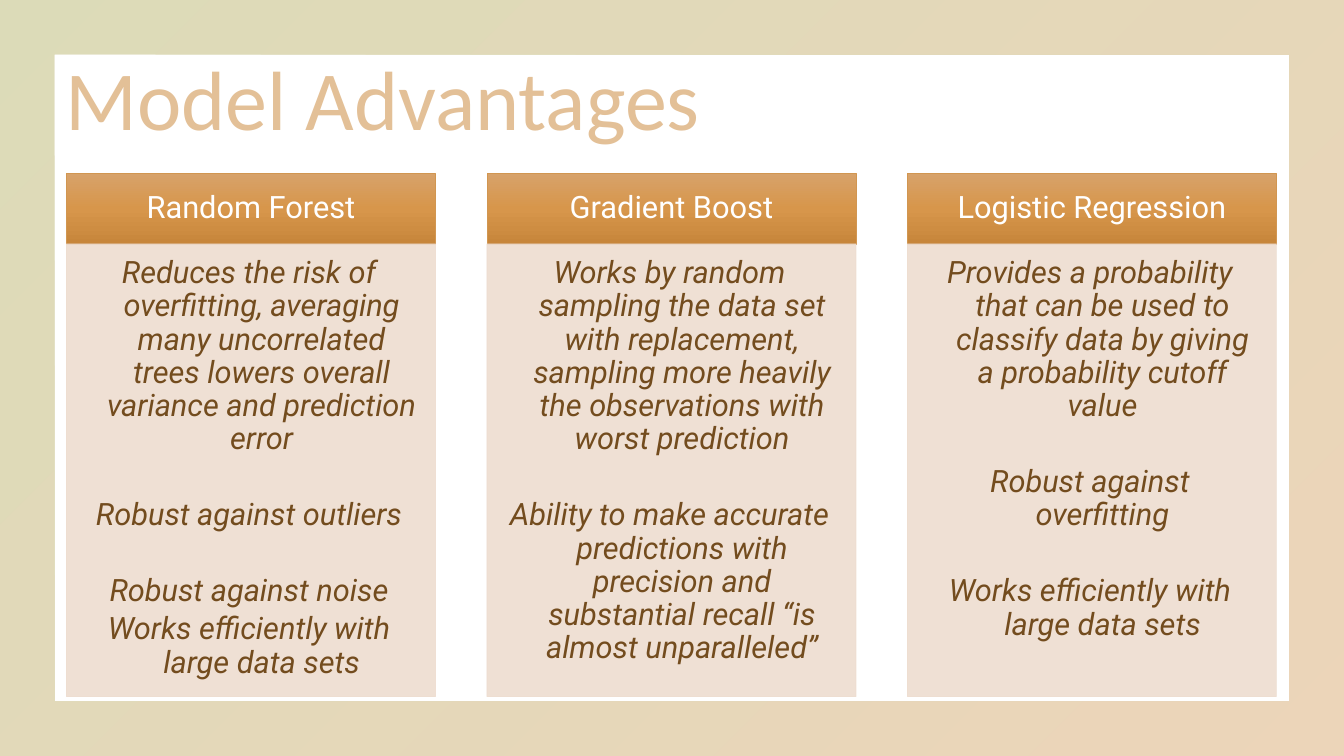
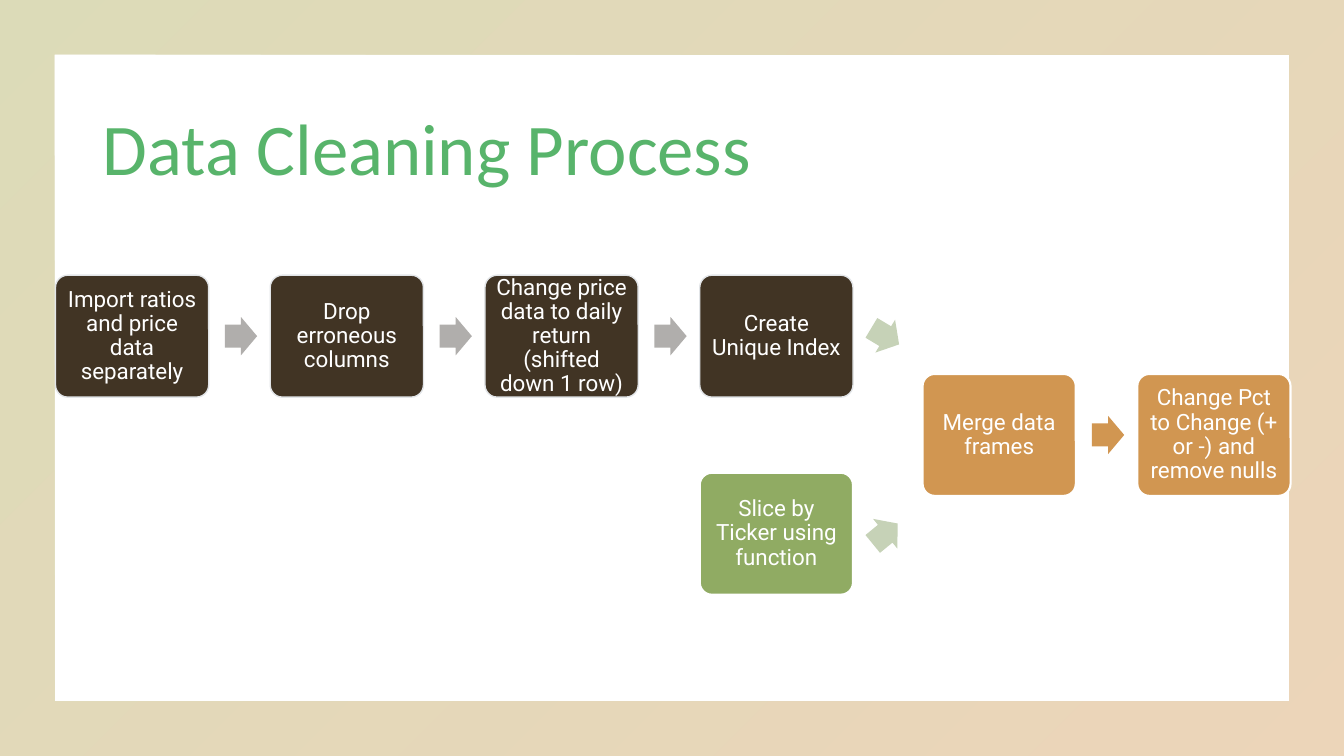
from copy import deepcopy

from lxml.etree import SubElement
from pptx import Presentation
from pptx.dml.color import RGBColor
from pptx.enum.shapes import MSO_SHAPE
from pptx.enum.text import MSO_ANCHOR, MSO_AUTO_SIZE, PP_ALIGN
from pptx.oxml.ns import qn
from pptx.util import Inches, Pt

WHITE, SAND, BROWN = "FFFFFF", "EEDDD0", "734C1E"
DARK, GREEN, ORANGE = "413424", "90AB63", "D19651"
GRAY, PALE_GREEN, PALE_LINE = "B0AEAC", "C6D2B7", "E2E5E8"
TAN, TITLE_GREEN, OLIVE = "E3C097", "58B46B", "A9A64F"
FRAME_STOPS = [(0, OLIVE, 40), (100, ORANGE, 40)]
HEADER_STOPS = [(0, "D7A26A", 100), (50, "D7964B", 100), (100, "C7863B", 100)]
TITLE_STOPS = [(0, TITLE_GREEN, 100), (100, ORANGE, 70)]

SLIDE_W, SLIDE_H = 13.33, 7.5
# Comparison columns
COL_X, COL_STEP, COL_W = 0.66, 4.17, 3.66
HEAD_Y, HEAD_H, BODY_H = 1.72, 0.7, 4.49
# Process grid
FLOW_X, FLOW_STEP, MERGE_X = 0.55, 2.13, 9.15
FLOW_Y, ROW_STEP = 2.73, 0.98
BOX_W, BOX_H = 1.52, 1.21
ARROW_W, ARROW_H, ARROW_GAP = 0.32, 0.38, 0.16

# Each column holds groups of paragraphs, with a wide gap between groups
ADVANTAGES = [
    ("Random Forest", [
        ["Reduces the risk of overfitting, averaging many uncorrelated trees "
         "lowers overall variance and prediction error"],
        ["Robust against outliers"],
        ["Robust against noise", "Works efficiently with large data sets"]]),
    ("Gradient Boost", [
        ["Works by random sampling the data set with replacement, sampling "
         "more heavily the observations with worst prediction"],
        ["Ability to make accurate predictions with precision and "
         "substantial recall “is almost unparalleled”"]]),
    ("Logistic Regression", [
        ["Provides a probability that can be used to classify data by giving "
         "a probability cutoff value"],
        ["Robust against overfitting"],
        ["Works efficiently with large data sets"]]),
]
PRICE_STEPS = [
    "Import ratios and price data separately",
    "Drop erroneous columns",
    "Change price data to daily return (shifted down 1 row)",
    "Create Unique Index",
]


def rgb(color):
    return RGBColor.from_string(color)


def set_gradient(sp, fill, stops, angle):
    """Fill with (position, colour, opacity) stops, angle clockwise."""
    fill.gradient()
    fill.gradient_angle = -angle % 360
    stop_list = next(sp.element.iter(qn("a:gsLst")))
    for stop in list(stop_list):
        stop_list.remove(stop)
    for position, color, opacity in stops:
        gs = SubElement(stop_list, qn("a:gs"), pos=str(position * 1000))
        clr = SubElement(gs, qn("a:srgbClr"), val=color)
        if opacity < 100:
            SubElement(clr, qn("a:alpha"), val=str(opacity * 1000))


def set_opacity(sp, opacity):
    for clr in sp.element.spPr.iter(qn("a:srgbClr")):
        SubElement(clr, qn("a:alpha"), val=str(opacity * 1000))


def write(sp, groups, size, color=WHITE, font="Roboto", italic=False,
          align=PP_ALIGN.CENTER, anchor=MSO_ANCHOR.MIDDLE,
          insets=(0.1, 0.05, 0.1, 0.05), after=0, gap=0, hang=0):
    """Write groups of paragraphs; gap follows a group, after a paragraph."""
    tf = sp.text_frame
    tf.word_wrap, tf.auto_size = True, MSO_AUTO_SIZE.NONE
    tf.vertical_anchor = anchor
    tf.margin_left, tf.margin_top, tf.margin_right, tf.margin_bottom = map(
        Inches, insets)
    lines = [(text, gap if text is group[-1] else after)
             for group in groups for text in group]
    for i, (text, space) in enumerate(lines):
        p = tf.add_paragraph() if i else tf.paragraphs[0]
        p.alignment, p.line_spacing = align, 0.9
        p.space_before, p.space_after = Pt(0), Pt(space)
        if hang:
            pPr = p.runs and None or p._p.get_or_add_pPr()
            pPr.set("marL", str(Inches(hang)))
            pPr.set("indent", str(-Inches(hang)))
        r = p.add_run()
        r.text = text
        r.font.size, r.font.name, r.font.italic = Pt(size), font, italic
        r.font.color.rgb = rgb(color)


def add_shape(slide, kind, x, y, w, h, fill=None, line=None, width=1,
              adjust=()):
    sp = slide.shapes.add_shape(kind, *map(Inches, (x, y, w, h)))
    sp.shadow.inherit = False
    for i, value in enumerate(adjust):
        sp.adjustments[i] = value
    if fill:
        sp.fill.solid()
        sp.fill.fore_color.rgb = rgb(fill)
    if line:
        sp.line.color.rgb = rgb(line)
        sp.line.width = Pt(width)
    else:
        sp.line.fill.background()
    return sp


def add_frame_to_master(prs, slide):
    sp = add_shape(slide, MSO_SHAPE.FRAME, 0, 0, SLIDE_W, SLIDE_H,
                   adjust=[0.072])
    set_gradient(sp, sp.fill, FRAME_STOPS, 45)
    prs.slide_master.element.cSld.spTree.insert(2, deepcopy(sp.element))
    sp.element.getparent().remove(sp.element)


def add_titled_slide(prs, text, box, size, color):
    slide = prs.slides.add_slide(prs.slide_layouts[5])
    title = slide.shapes.title
    title.left, title.top, title.width, title.height = map(Inches, box)
    write(title, [[text]], size, color, font="Calibri", align=PP_ALIGN.LEFT)
    return slide


def add_column(slide, index, heading, groups):
    x = COL_X + index * COL_STEP
    head = add_shape(slide, MSO_SHAPE.RECTANGLE, x, HEAD_Y, COL_W, HEAD_H,
                     line=ORANGE, width=0.5)
    set_gradient(head, head.fill, HEADER_STOPS, 90)
    write(head, [[heading]], 22, insets=(0.17, 0.1, 0.17, 0.1))
    body = add_shape(slide, MSO_SHAPE.RECTANGLE, x, HEAD_Y + HEAD_H, COL_W,
                     BODY_H, fill=SAND, line=SAND, width=0.5)
    set_opacity(body, 90)
    write(body, groups, 22, BROWN, italic=True, anchor=MSO_ANCHOR.TOP,
          insets=(0.13, 0.13, 0.17, 0.19), after=3.5, gap=30.5, hang=0.25)


def add_step(slide, text, x, row, fill, line=WHITE, width=1.5, arrow=None,
             turn=0):
    """Add a process box and, if arrow gives a colour, the arrow after it."""
    y = FLOW_Y + row * ROW_STEP
    box = add_shape(slide, MSO_SHAPE.ROUNDED_RECTANGLE, x, y, BOX_W, BOX_H,
                    fill, line, width, adjust=[0.1])
    write(box, [[text]], 16, insets=(0.06,) * 4)
    if arrow:
        sp = add_shape(slide, MSO_SHAPE.RIGHT_ARROW, x + BOX_W + ARROW_GAP,
                       y + (BOX_H - ARROW_H) / 2, ARROW_W, ARROW_H, arrow,
                       adjust=[0.6, 0.5])
        sp.rotation = turn


def build_advantages(prs):
    slide = add_titled_slide(prs, "Model Advantages",
                             (0.55, 0.51, 12.24, 1.02), 60, TAN)
    add_frame_to_master(prs, slide)
    for i, (heading, groups) in enumerate(ADVANTAGES):
        add_column(slide, i, heading, groups)


def build_process(prs):
    slide = add_titled_slide(prs, "Data Cleaning Process",
                             (0.92, 0.78, 11.5, 1.45), 52, TITLE_GREEN)
    title = slide.shapes.title
    run = title.text_frame.paragraphs[0].runs[0]
    set_gradient(title, run.font.fill, TITLE_STOPS, 0)
    last = len(PRICE_STEPS) - 1
    for i, text in enumerate(PRICE_STEPS):
        add_step(slide, text, FLOW_X + i * FLOW_STEP, 0, DARK, PALE_LINE, 1,
                 arrow=PALE_GREEN if i == last else GRAY,
                 turn=30.9 if i == last else 0)
    add_step(slide, "Slice by Ticker using function",
             FLOW_X + last * FLOW_STEP, 2, GREEN, arrow=PALE_GREEN,
             turn=320.8)
    add_step(slide, "Merge data frames", MERGE_X, 1, ORANGE, arrow=ORANGE)
    add_step(slide, "Change Pct to Change (+ or -) and remove nulls",
             MERGE_X + FLOW_STEP, 1, ORANGE)


def main():
    prs = Presentation()
    prs.slide_width, prs.slide_height = Inches(SLIDE_W), Inches(SLIDE_H)
    build_advantages(prs)
    build_process(prs)
    prs.save("out.pptx")


if __name__ == "__main__":
    main()
